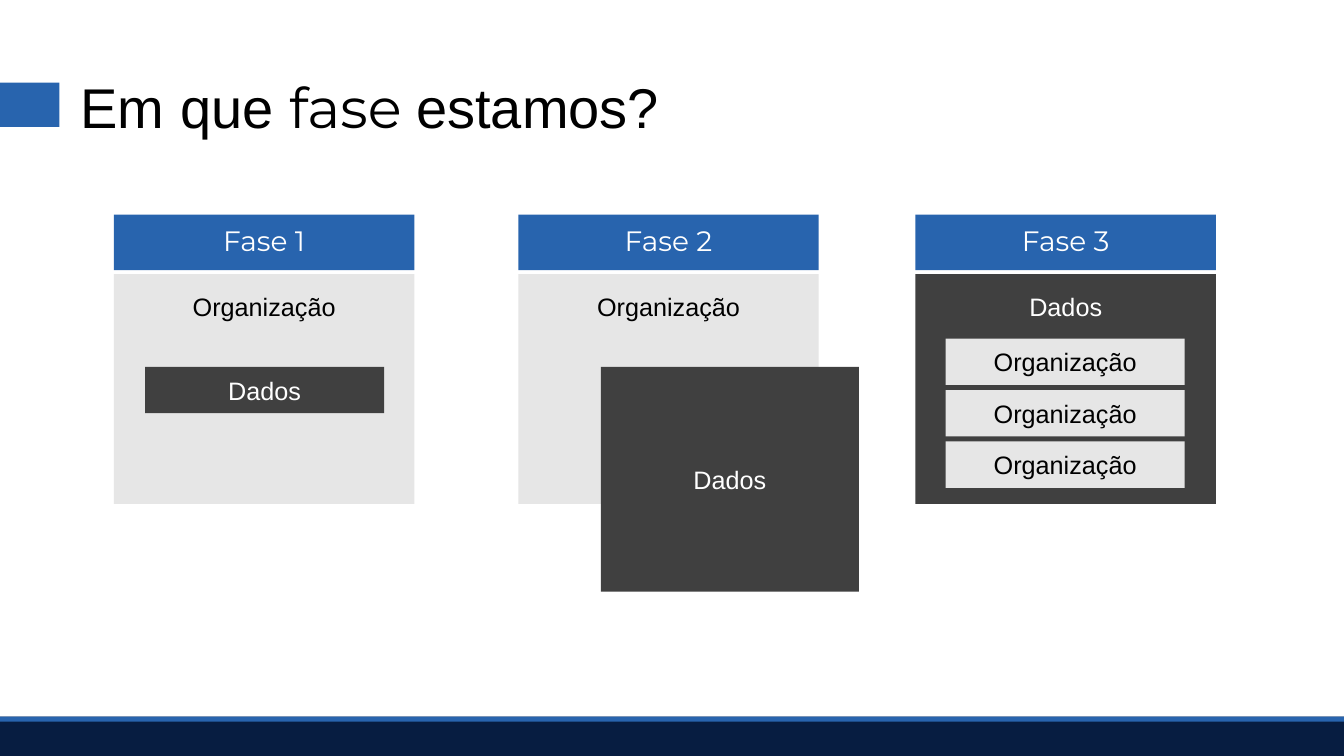
from dataclasses import dataclass

from pptx import Presentation, util as u
from pptx.dml.color import RGBColor
from pptx.enum import shapes, text

SLIDE_W, SLIDE_H = 13.33, 7.5
TITLE = [("Em que ", "Arial"), ("fase ", "Montserrat"), ("estamos?", "Arial")]


@dataclass(frozen=True)
class Theme:
    blue: str = "2864AE"
    navy: str = "071D41"
    light: str = "E6E6E6"
    dark: str = "404040"
    black: str = "000000"
    white: str = "FFFFFF"
    body: str = "Arial"
    display: str = "Montserrat"
    title_size: int = 40
    head_size: int = 20
    text_size: int = 18


T = Theme()
INK = {T.light: T.black, T.dark: T.white, T.blue: T.white}

# Inner boxes: text, fill, (left, top, width, height) measured from the panel's corner
BAR_W, BAR_H, BAR_STEP = 2.37, 0.46, 0.51
PHASES = [
    ("Fase 1", 1.13, "Organização", T.light,
     [("Dados", T.dark, (0.31, 0.92, BAR_W, BAR_H))]),
    ("Fase 2", 5.14, "Organização", T.light,
     [("Dados", T.dark, (0.82, 0.92, 2.56, 2.23))]),
    ("Fase 3", 9.08, "Dados", T.dark,
     [("Organização", T.light, (0.3, 0.64 + i * BAR_STEP, BAR_W, BAR_H))
      for i in range(3)]),
]
COL_W, HEAD_TOP, HEAD_H, PANEL_TOP, PANEL_H = 2.98, 2.13, 0.55, 2.72, 2.28


def add_box(parent, fill, box):
    sp = parent.add_shape(shapes.MSO_SHAPE.RECTANGLE, *map(u.Inches, box))
    sp.shadow.inherit = False
    sp.fill.solid()
    sp.fill.fore_color.rgb = RGBColor.from_string(fill)
    sp.line.fill.background()
    return sp


def set_insets(tf, inset):
    tf.margin_left = tf.margin_right = tf.margin_top = tf.margin_bottom = u.Inches(inset)


def add_label(parent, label, fill, box, font=T.body, size=T.text_size,
              inset=None, top=False, spacing=None):
    tf = add_box(parent, fill, box).text_frame
    tf.word_wrap = True
    tf.vertical_anchor = text.MSO_ANCHOR.TOP if top else text.MSO_ANCHOR.MIDDLE
    if inset is not None:
        set_insets(tf, inset)
    p = tf.paragraphs[0]
    p.text = label
    p.alignment = text.PP_ALIGN.CENTER
    p.line_spacing = spacing
    p.font.name, p.font.size = font, u.Pt(size)
    p.font.color.rgb = RGBColor.from_string(INK[fill])


def add_title(slide):
    sp = slide.shapes.title
    sp.left, sp.top, sp.width, sp.height = map(u.Inches, (0.8, 0.79, 11.75, 0.78))
    tf = sp.text_frame
    tf.word_wrap = True
    tf.auto_size = text.MSO_AUTO_SIZE.NONE
    tf.vertical_anchor = text.MSO_ANCHOR.TOP
    set_insets(tf, 0)
    p = tf.paragraphs[0]
    p.alignment = text.PP_ALIGN.LEFT
    p.line_spacing = 0.9
    p.font.size = u.Pt(T.title_size)
    p.font.color.rgb = RGBColor.from_string(T.black)
    for words, font in TITLE:
        r = p.add_run()
        r.text, r.font.name = words, font


def add_phase(slide, name, left, label, fill, inner):
    group = slide.shapes.add_group_shape().shapes
    add_label(group, name, T.blue, (left, HEAD_TOP, COL_W, HEAD_H),
              T.display, T.head_size, inset=0.09, spacing=0.9)
    add_label(group, label, fill, (left, PANEL_TOP, COL_W, PANEL_H),
              inset=0.2, top=True, spacing=0.9)
    for words, color, (dx, dy, w, h) in inner:
        add_label(group, words, color, (left + dx, PANEL_TOP + dy, w, h))


def main():
    prs = Presentation()
    prs.slide_width, prs.slide_height = u.Inches(SLIDE_W), u.Inches(SLIDE_H)
    slide = prs.slides.add_slide(prs.slide_layouts[5])
    footer_h = 0.39
    footer_top = SLIDE_H - footer_h
    add_box(slide.shapes, T.blue, (0, 0.82, 0.59, 0.44))
    add_box(slide.shapes, T.navy, (0, footer_top, SLIDE_W, footer_h))
    add_box(slide.shapes, T.blue, (0, footer_top, SLIDE_W, 0.05))
    add_title(slide)
    for phase in PHASES:
        add_phase(slide, *phase)
    prs.save("out.pptx")


if __name__ == "__main__":
    main()
